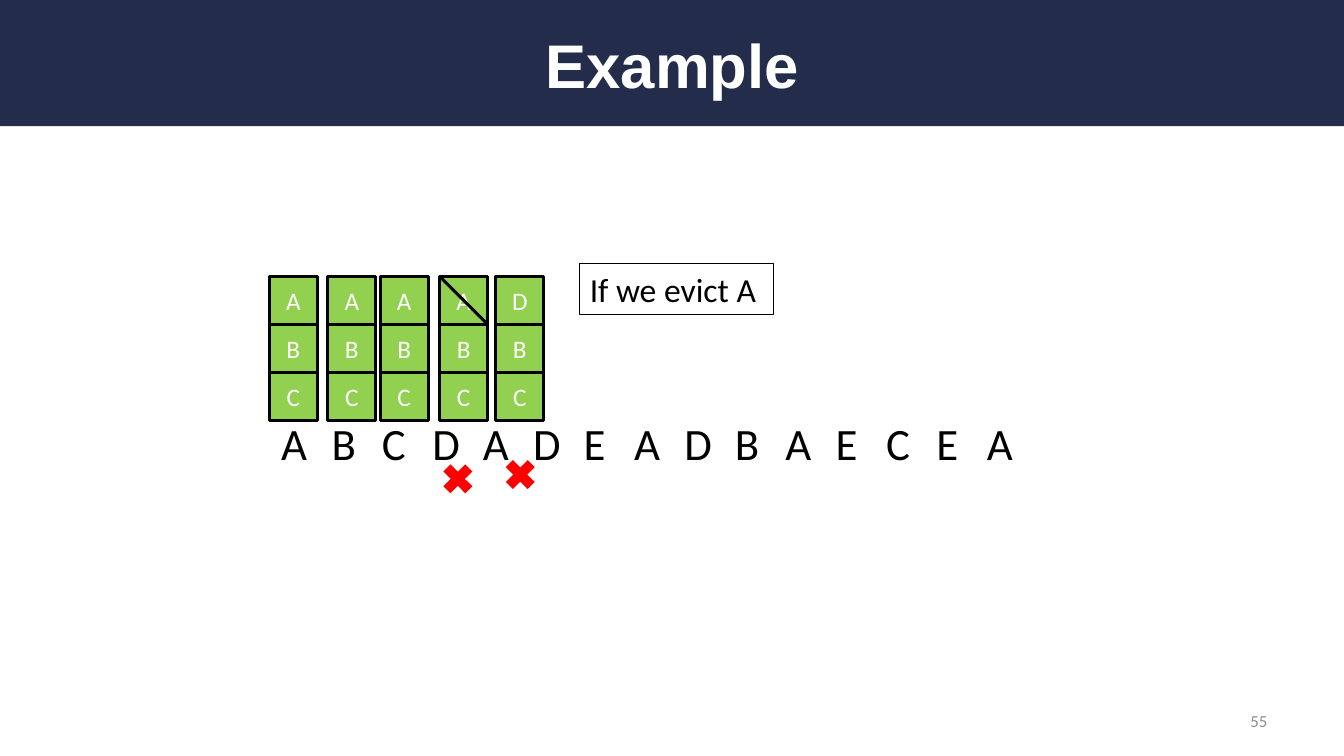
from lxml import etree
from pptx import Presentation, util as u
from pptx.dml.color import RGBColor
from pptx.enum import shapes, text
from pptx.oxml.ns import qn

COLORS = {"navy": "232D4B", "green": "92D050", "red": "FF0000",
          "black": "000000", "white": "FFFFFF", "gray": "8C8C8C"}
WIDTH, HEIGHT = u.Inches(13.33), u.Inches(7.5)
CELL = WIDTH / 28
REQUESTS = "ABCDADEADBAECEA"
CACHE_STATES = [(5.61, "ABC"), (6.83, "ABC"), (7.92, "ABC"), (9.16, "ABC"), (10.33, "DBC")]
EVICTED_STATE = 3
MISSES = [(9.1, 9.54), (10.4, 9.45)]


def grid(*lengths):
    return [u.Emu(round(length * CELL)) for length in lengths]


def color(name):
    return RGBColor.from_string(COLORS[name])


def write(shape, words, size, font_color, align=text.PP_ALIGN.LEFT,
          anchor=text.MSO_ANCHOR.TOP, font="Calibri", bold=False):
    frame = shape.text_frame
    frame.text = words
    frame.word_wrap = True
    frame.vertical_anchor = anchor
    paragraph = frame.paragraphs[0]
    paragraph.alignment = align
    for run in paragraph.runs:
        run.font.size = u.Pt(size)
        run.font.name = font
        run.font.bold = bold
        run.font.color.rgb = color(font_color)


def add_box(parent, kind, box, fill=None, line_width=None):
    shape = parent.add_shape(kind, *grid(*box))
    shape.shadow.inherit = False
    if fill:
        shape.fill.solid()
        shape.fill.fore_color.rgb = color(fill)
    else:
        shape.fill.background()
    if line_width:
        shape.line.color.rgb = color("black")
        shape.line.width = u.Pt(line_width)
    else:
        shape.line.fill.background()
    return shape


def add_header(slide, box):
    left, top, width, height = box
    band = add_box(slide.shapes, shapes.MSO_SHAPE.RECTANGLE, box, "navy")
    title = slide.shapes.title
    title._element.addprevious(band._element)
    title.left, title.top, title.width, title.height = grid(
        left + 1.41, top + 0.36, width - 2.8, height - 0.7)
    write(title, "Example", 44, "white", text.PP_ALIGN.CENTER,
          text.MSO_ANCHOR.MIDDLE, "Arial", True)


def add_page_number(slide, box):
    number = slide.shapes.add_textbox(*grid(*box))
    write(number, "55", 12, "gray", text.PP_ALIGN.RIGHT, text.MSO_ANCHOR.MIDDLE)


def add_requests(slide, box, first_center=0.25, pitch=1.15):
    sequence = slide.shapes.add_textbox(*grid(*box))
    properties = sequence.text_frame.paragraphs[0]._p.get_or_add_pPr()
    tabs = etree.SubElement(properties, qn("a:tabLst"))
    for index in range(1, len(REQUESTS)):
        position, = grid(first_center + index * pitch)
        etree.SubElement(tabs, qn("a:tab"), pos=str(position), algn="ctr")
    write(sequence, "\t".join(REQUESTS), 32, "black")


def add_cache(slide, left, top, pages):
    cache = slide.shapes.add_group_shape()
    for row, page in enumerate(pages):
        slot = add_box(cache.shapes, shapes.MSO_SHAPE.RECTANGLE,
                       (left, top + row, 1, 1), "green", 2)
        write(slot, page, 18, "white", text.PP_ALIGN.CENTER, text.MSO_ANCHOR.MIDDLE)


def add_eviction_stroke(slide, left, top):
    stroke = slide.shapes.add_connector(
        shapes.MSO_CONNECTOR.STRAIGHT, *grid(left, top, left + 1, top + 1))
    stroke.line.color.rgb = color("black")
    stroke.line.width = u.Pt(2.25)
    etree.SubElement(stroke._element.spPr, qn("a:effectLst"))


def add_cache_history(slide, top):
    for left, pages in CACHE_STATES:
        add_cache(slide, left, top, pages)
    add_eviction_stroke(slide, CACHE_STATES[EVICTED_STATE][0], top)


def add_misses(slide, size):
    for left, top in MISSES:
        add_box(slide.shapes, shapes.MSO_SHAPE.MATH_MULTIPLY, (left, top, size, size), "red")


def add_callout(slide, box):
    callout = add_box(slide.shapes, shapes.MSO_SHAPE.RECTANGLE, box, line_width=0.75)
    write(callout, "If we evict A", 24, "black")


def main():
    presentation = Presentation()
    presentation.slide_width, presentation.slide_height = WIDTH, HEIGHT
    slide = presentation.slides.add_slide(presentation.slide_layouts[5])
    add_header(slide, (0, 0, 28, 2.63))
    add_page_number(slide, (20.08, 14.6, 6.53, 0.84))
    add_requests(slide, (5.65, 8.57, 17.29, 1.34))
    add_cache_history(slide, 5.76)
    add_misses(slide, 0.88)
    add_callout(slide, (12.08, 5.5, 4.03, 1.05))
    presentation.save("out.pptx")


if __name__ == "__main__":
    main()
